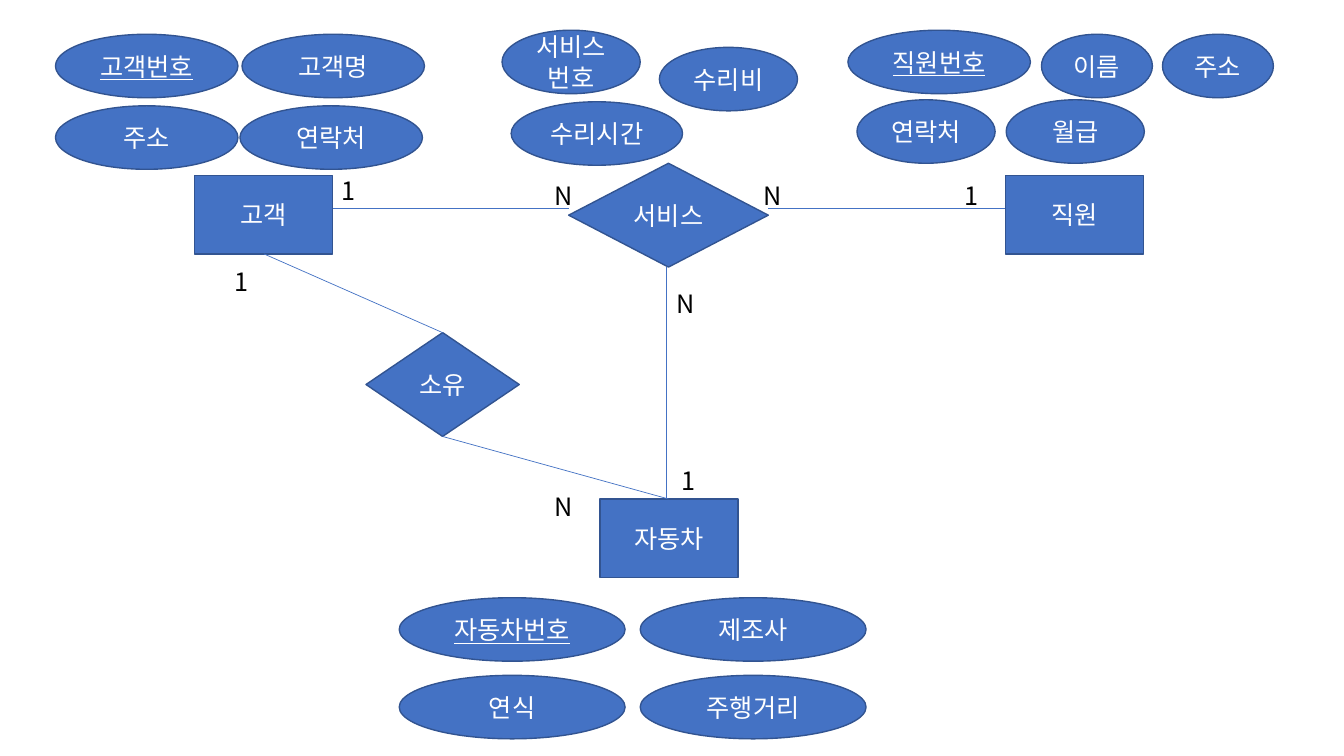
from lxml.etree import SubElement
from pptx import Presentation
from pptx.dml.color import RGBColor as RGB
from pptx.enum.shapes import MSO_CONNECTOR as LINK, MSO_SHAPE as SHAPE
from pptx.enum.text import MSO_ANCHOR as ANCHOR, MSO_AUTO_SIZE as SIZE, PP_ALIGN as ALIGN
from pptx.oxml.ns import qn
from pptx.util import Inches, Pt

COLORS = {"fill": "4472C4", "edge": "325491", "light": "FFFFFF", "dark": "000000"}
FONT = "Noto Sans CJK KR"


def write(shape, text, color, line=False):
    """Set the shape's text; line underlines a key attribute."""
    run = shape.text_frame.paragraphs[0].add_run()
    run.text = text
    form = {"name": FONT, "size": Pt(18), "underline": line or None}
    for key, value in form.items():
        setattr(run.font, key, value)
    run.font.color.rgb = RGB.from_string(COLORS[color])
    SubElement(run.font._element, qn("a:ea"), typeface=FONT)


def draw(kind, text, left, top, wide, high, line=False):
    """Add a filled node with centred text."""
    node = slide.shapes.add_shape(kind, *map(Inches, (left, top, wide, high)))
    node.shadow.inherit = False
    node.fill.solid()
    node.fill.fore_color.rgb = RGB.from_string(COLORS["fill"])
    node.line.color.rgb = RGB.from_string(COLORS["edge"])
    node.line.width = Pt(1)
    node.text_frame.word_wrap = True
    node.text_frame.vertical_anchor = ANCHOR.MIDDLE
    node.text_frame.paragraphs[0].alignment = ALIGN.CENTER
    write(node, text, "light", line)


deck = Presentation()
deck.slide_width, deck.slide_height = Inches(13.33), Inches(7.5)
slide = deck.slides.add_slide(deck.slide_layouts[6])

# Entities
for text, left, top in (("고객", 1.93, 1.74), ("직원", 9.97, 1.74), ("자동차", 5.95, 4.95)):
    draw(SHAPE.RECTANGLE, text, left, top, 1.37, 0.78)

# Relationships
for text, left, top, wide in (("소유", 3.63, 3.3, 1.52), ("서비스", 5.64, 1.62, 1.98)):
    draw(SHAPE.DIAMOND, text, left, top, wide, 1.03)

# Links between entities and relationships
links = (
    (2.62, 2.52, 4.39, 3.3),
    (4.39, 4.33, 6.63, 4.95),
    (6.61, 2.65, 6.61, 4.95),
    (7.62, 2.07, 9.97, 2.07),
    (3.3, 2.07, 5.64, 2.07),
)
for ends in links:
    link = slide.shapes.add_connector(LINK.STRAIGHT, *map(Inches, ends))
    link.line.color.rgb = RGB.from_string(COLORS["fill"])
    link.line.width = Pt(0.5)
    SubElement(link._element.spPr, qn("a:effectLst"))

# Attributes: text, left, top, width
traits = (
    ("직원번호", 8.41, 0.3, 1.81),
    ("이름", 10.33, 0.34, 1.1),
    ("주소", 11.53, 0.34, 1.1),
    ("연락처", 8.5, 0.99, 1.37),
    ("월급", 9.98, 0.99, 1.37),
    ("고객번호", 0.55, 0.34, 1.81),
    ("고객명", 2.4, 0.34, 1.81),
    ("주소", 0.55, 1.05, 1.81),
    ("연락처", 2.38, 1.05, 1.81),
    ("자동차번호", 3.96, 5.93, 2.24),
    ("제조사", 6.35, 5.93, 2.24),
    ("연식", 3.96, 6.7, 2.24),
    ("주행거리", 6.35, 6.7, 2.24),
    ("서비스번호", 4.98, 0.3, 1.37),
    ("수리비", 6.54, 0.47, 1.37),
    ("수리시간", 5.07, 1.01, 1.7),
)
keys = {"직원번호", "고객번호", "자동차번호"}
for text, left, top, wide in traits:
    draw(SHAPE.OVAL, text, left, top, wide, 0.63, text in keys)

# Cardinalities
marks = {
    "1": ((2.23, 2.59), (3.29, 1.69), (9.47, 1.74), (6.66, 4.57)),
    "N": ((5.4, 4.83), (5.4, 1.74), (7.47, 1.74), (6.61, 2.81)),
}
for text, spots in marks.items():
    wide = 0.34 if text == "1" else 0.39
    for left, top in spots:
        box = slide.shapes.add_textbox(*map(Inches, (left, top, wide, 0.4)))
        box.text_frame.word_wrap = text == "N"
        box.text_frame.auto_size = SIZE.SHAPE_TO_FIT_TEXT
        write(box, text, "dark")

deck.save("out.pptx")
